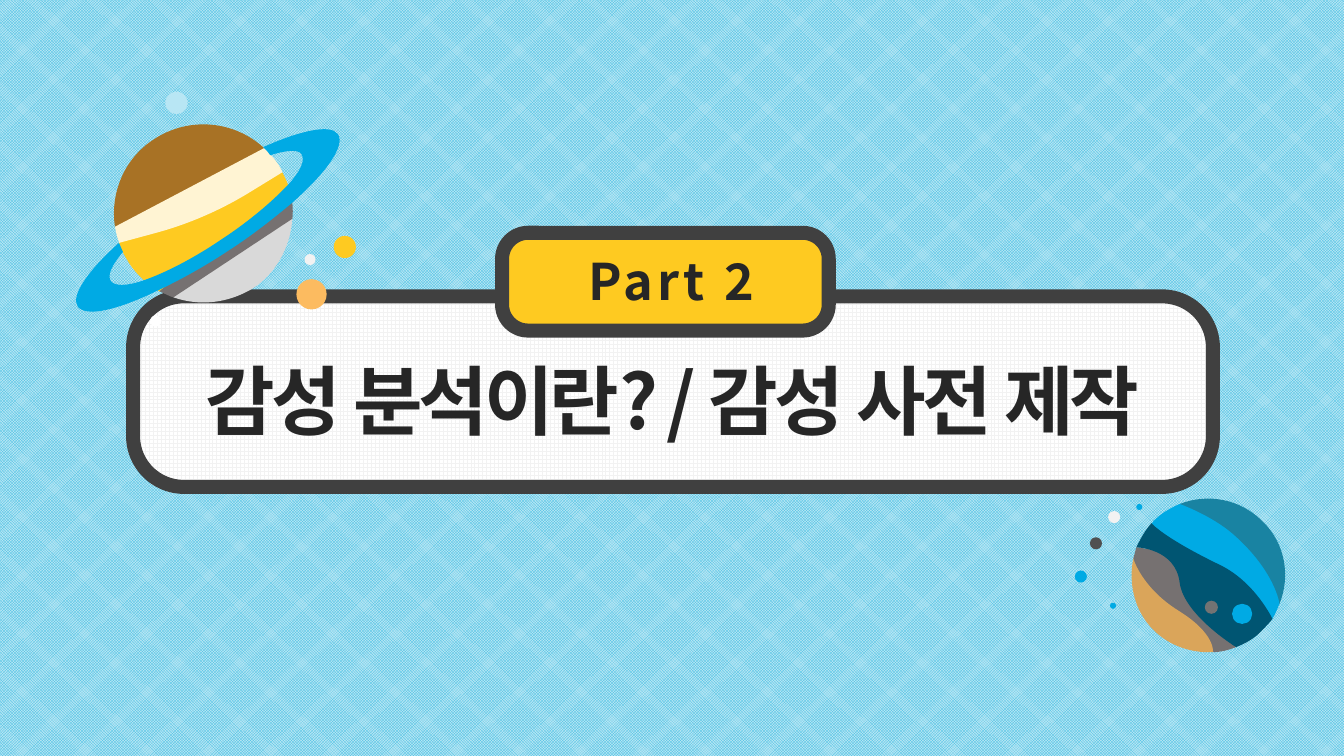
from lxml import etree
from pptx import Presentation
from pptx.dml.color import RGBColor
from pptx.enum import dml, shapes, text
from pptx.oxml import ns
from pptx.util import Inches, Pt

FONT = "Noto Sans CJK KR"
SKY = RGBColor(0x37, 0xBA, 0xE1)
PALE_SKY = RGBColor(0xB8, 0xE6, 0xF4)
WHITE = RGBColor(0xFF, 0xFF, 0xFF)
MIST = RGBColor(0xF2, 0xF2, 0xF2)
FRAME = RGBColor(0x40, 0x40, 0x40)
INK = RGBColor(0x26, 0x26, 0x26)
YELLOW = RGBColor(0xFE, 0xCA, 0x21)
ORANGE = RGBColor(0xFC, 0xBB, 0x60)
CREAM = RGBColor(0xFF, 0xF4, 0xD3)
BROWN = RGBColor(0xA8, 0x72, 0x25)
SILVER = RGBColor(0xD9, 0xD9, 0xD9)
STONE = RGBColor(0x76, 0x71, 0x71)
BLUE = RGBColor(0x00, 0xAA, 0xE4)
TEAL = RGBColor(0x19, 0x83, 0xA2)
SAND = RGBColor(0xDA, 0xA5, 0x5A)
NAVY = RGBColor(0x00, 0x55, 0x72)
CRATER = RGBColor(0x73, 0x73, 0x73)
CHARCOAL = RGBColor(0x50, 0x50, 0x50)


def add_outline(group, color, start, *segments):
    """Draw a filled outline; a segment is a line (x, y) or a Bezier (six numbers)."""
    builder = group.shapes.build_freeform(Inches(start[0]), Inches(start[1]))
    builder.add_line_segments([(Inches(x), Inches(y)) for *_, x, y in segments], close=True)
    outline = builder.convert_to_shape()
    # Turn the straight pieces into curves where control points are given
    lines = outline._element.findall(".//" + ns.qn("a:lnTo"))
    for line, segment in zip(lines, segments):
        if len(segment) == 6:
            line.tag = ns.qn("a:cubicBezTo")
            for place, (x, y) in enumerate([segment[:2], segment[2:4]]):
                control = etree.Element(ns.qn("a:pt"))
                control.set("x", str(Inches(x) - outline.left))
                control.set("y", str(Inches(y) - outline.top))
                line.insert(place, control)
    outline.shadow.inherit = False
    outline.fill.solid()
    outline.fill.fore_color.rgb = color
    outline.line.fill.background()


def add_dots(group, dots):
    for color, left, top, size in dots:
        dot = group.shapes.add_shape(shapes.MSO_SHAPE.OVAL, Inches(left), Inches(top),
                                     Inches(size), Inches(size))
        dot.shadow.inherit = False
        dot.fill.solid()
        dot.fill.fore_color.rgb = color
        dot.line.fill.background()


deck = Presentation()
deck.slide_width, deck.slide_height = Inches(13.33), Inches(7.5)
page = deck.slides.add_slide(deck.slide_layouts[6])

# Checked background
backdrop = page.background.fill
backdrop.patterned()
backdrop.pattern = dml.MSO_PATTERN.SMALL_CHECKER_BOARD
backdrop.fore_color.rgb = SKY
backdrop.back_color.rgb = PALE_SKY

# Title panel and part label: panel place, text place, wording, size, letter spacing
banners = [
    ((1.32, 2.94, 10.71, 1.89), (1.42, 3.46, 10.5, 1.01),
     "감성 분석이란? / 감성 사전 제작", 54, -300),
    ((4.98, 2.31, 3.24, 0.97), (5.71, 2.43, 1.9, 0.71), "Part 2", 36, 300),
]
for panel_place, text_place, wording, size, spacing in banners:
    panel = page.shapes.add_shape(shapes.MSO_SHAPE.ROUNDED_RECTANGLE,
                                  *map(Inches, panel_place))
    panel.adjustments[0] = 0.267
    panel.shadow.inherit = False
    if wording == "Part 2":
        panel.fill.solid()
        panel.fill.fore_color.rgb = YELLOW
    else:
        panel.fill.patterned()
        panel.fill.pattern = dml.MSO_PATTERN.LARGE_GRID
        panel.fill.fore_color.rgb = MIST
        panel.fill.back_color.rgb = WHITE
    panel.line.color.rgb = FRAME
    panel.line.width = Pt(10)

    box = page.shapes.add_textbox(*map(Inches, text_place))
    frame = box.text_frame
    frame.text = wording
    frame.word_wrap = False
    frame.auto_size = text.MSO_AUTO_SIZE.SHAPE_TO_FIT_TEXT
    para = frame.paragraphs[0]
    para.alignment = text.PP_ALIGN.CENTER
    span = para.runs[0]
    span.font.size = Pt(size)
    span.font.bold = True
    span.font.color.rgb = INK
    span.font.name = FONT
    properties = span.font._element
    properties.set("lang", "ko-KR")
    properties.set("spc", str(spacing))
    etree.SubElement(properties, ns.qn("a:ea")).set("typeface", FONT)

# Ringed planet with its moons
ringed = page.shapes.add_group_shape()
add_dots(ringed, [(ORANGE, 2.94, 2.77, 0.3), (WHITE, 1.49, 3.13, 0.11),
                  (MIST, 3.02, 2.52, 0.11), (PALE_SKY, 1.64, 0.91, 0.22),
                  (YELLOW, 3.31, 2.34, 0.22)])
# Yellow band
add_outline(ringed, YELLOW, (1.34, 2.25), (1.24, 2.32, 1.18, 2.41, 1.18, 2.41),
            (1.2, 2.48, 1.24, 2.54, 1.28, 2.61), (1.36, 2.73, 1.46, 2.82, 1.58, 2.89),
            (1.58, 2.89, 1.67, 2.9, 1.72, 2.87), (2.06, 2.66, 2.61, 2.27, 2.81, 2.02),
            (2.85, 1.96, 2.87, 1.87, 2.87, 1.87), (2.85, 1.82, 2.83, 1.76, 2.8, 1.71),
            (2.8, 1.71, 2.68, 1.69, 2.59, 1.72), (2.2, 1.82, 1.54, 2.11, 1.34, 2.25))
# Silver base
add_outline(ringed, SILVER, (2.51, 2.86), (2.75, 2.7, 2.88, 2.44, 2.9, 2.17),
            (2.9, 2.17, 2.82, 2.14, 2.75, 2.16), (2.5, 2.23, 1.99, 2.62, 1.79, 2.83),
            (1.73, 2.9, 1.72, 2.95, 1.72, 2.95), (1.98, 3.04, 2.26, 3.01, 2.51, 2.86))
# Brown cap
add_outline(ringed, BROWN, (1.53, 1.38), (1.23, 1.57, 1.09, 1.92, 1.14, 2.25),
            (1.14, 2.25, 1.2, 2.28, 1.31, 2.26), (1.7, 2.18, 2.29, 1.85, 2.52, 1.62),
            (2.6, 1.55, 2.62, 1.47, 2.62, 1.47), (2.33, 1.2, 1.88, 1.15, 1.53, 1.38))
# Shade under the ring
add_outline(ringed, STONE, (1.58, 2.89), (1.63, 2.91, 1.68, 2.94, 1.72, 2.95),
            (2.9, 2.17), (2.91, 2.07, 2.9, 1.97, 2.87, 1.87), (1.58, 2.89))
# Cream band
add_outline(ringed, CREAM, (1.14, 2.25), (1.15, 2.3, 1.16, 2.35, 1.18, 2.4),
            (1.18, 2.4, 1.18, 2.41, 1.18, 2.41), (1.55, 2.31),
            (1.88, 2.22, 2.2, 2.08, 2.49, 1.9), (2.8, 1.71),
            (2.8, 1.71, 2.8, 1.7, 2.8, 1.7), (2.79, 1.68, 2.77, 1.65, 2.76, 1.63),
            (2.72, 1.57, 2.67, 1.52, 2.62, 1.47), (1.14, 2.25))
# Ring
add_outline(ringed, BLUE, (2.61, 1.46), (2.64, 1.48, 2.66, 1.51, 2.68, 1.54),
            (2.84, 1.49, 2.96, 1.48, 2.99, 1.53), (3.03, 1.59, 2.98, 1.7, 2.86, 1.83),
            (2.71, 1.99, 2.48, 2.19, 2.19, 2.38), (1.91, 2.57, 1.63, 2.71, 1.43, 2.78),
            (1.26, 2.84, 1.14, 2.84, 1.1, 2.79), (1.06, 2.73, 1.11, 2.63, 1.22, 2.5),
            (1.21, 2.47, 1.19, 2.44, 1.18, 2.41), (0.87, 2.69, 0.7, 2.93, 0.77, 3.04),
            (0.85, 3.15, 1.16, 3.08, 1.57, 2.88), (1.78, 2.78, 2.02, 2.65, 2.26, 2.49),
            (2.51, 2.33, 2.72, 2.16, 2.9, 2.01), (3.24, 1.71, 3.43, 1.44, 3.35, 1.33),
            (3.28, 1.23, 2.99, 1.29, 2.61, 1.46))

# Blue planet
striped = page.shapes.add_group_shape()
# Teal edge
add_outline(striped, TEAL, (12.52, 5.17), (12.3, 4.95, 11.98, 4.89, 11.7, 5),
            (12.69, 5.99), (12.8, 5.72, 12.75, 5.39, 12.52, 5.17))
# Grey band
add_outline(striped, STONE, (11.27, 5.43), (11.26, 5.47, 11.25, 5.51, 11.24, 5.54),
            (11.26, 5.63), (11.5, 6.09), (12.03, 6.47),
            (12.11, 6.47, 12.18, 6.45, 12.26, 6.42), (12.26, 6.42, 12.39, 6.03, 12.05, 5.75),
            (11.79, 5.53, 11.47, 5.46, 11.34, 5.44), (11.3, 5.43, 11.27, 5.43, 11.27, 5.43))
# Sand edge
add_outline(striped, SAND, (11.44, 6.25), (11.6, 6.41, 11.82, 6.48, 12.03, 6.47),
            (12.03, 6.47, 12.06, 6.29, 11.69, 6.06), (11.32, 5.83, 11.24, 5.54, 11.24, 5.54),
            (11.19, 5.79, 11.25, 6.06, 11.44, 6.25))
# Bright band
add_outline(striped, BLUE, (12.69, 5.99), (12.69, 5.99, 12.65, 5.67, 12.23, 5.3),
            (12.01, 5.11, 11.7, 5, 11.7, 5), (11.61, 5.04, 11.52, 5.09, 11.44, 5.17),
            (11.44, 5.18, 11.43, 5.19, 11.42, 5.19), (11.86, 5.75), (12.62, 6.14),
            (12.65, 6.09, 12.67, 6.04, 12.69, 5.99))
# Navy band
add_outline(striped, NAVY, (12.52, 6.25), (12.56, 6.21, 12.59, 6.18, 12.62, 6.14),
            (12.62, 6.14, 12.45, 5.78, 12.11, 5.61), (11.53, 5.33, 11.42, 5.19, 11.42, 5.19),
            (11.35, 5.27, 11.31, 5.35, 11.27, 5.43), (11.27, 5.43, 11.66, 5.44, 11.7, 5.78),
            (11.74, 6.1, 12.26, 6.42, 12.26, 6.42), (12.36, 6.38, 12.45, 6.33, 12.52, 6.25))
# Craters and moons
add_dots(striped, [(CRATER, 11.95, 5.96, 0.13), (BLUE, 12.22, 5.99, 0.2),
                   (BLUE, 11.27, 5, 0.06), (CHARCOAL, 10.81, 5.33, 0.12),
                   (MIST, 10.99, 5.07, 0.12), (BLUE, 10.66, 5.66, 0.12),
                   (BLUE, 11.01, 5.98, 0.06)])

deck.save("out.pptx")
